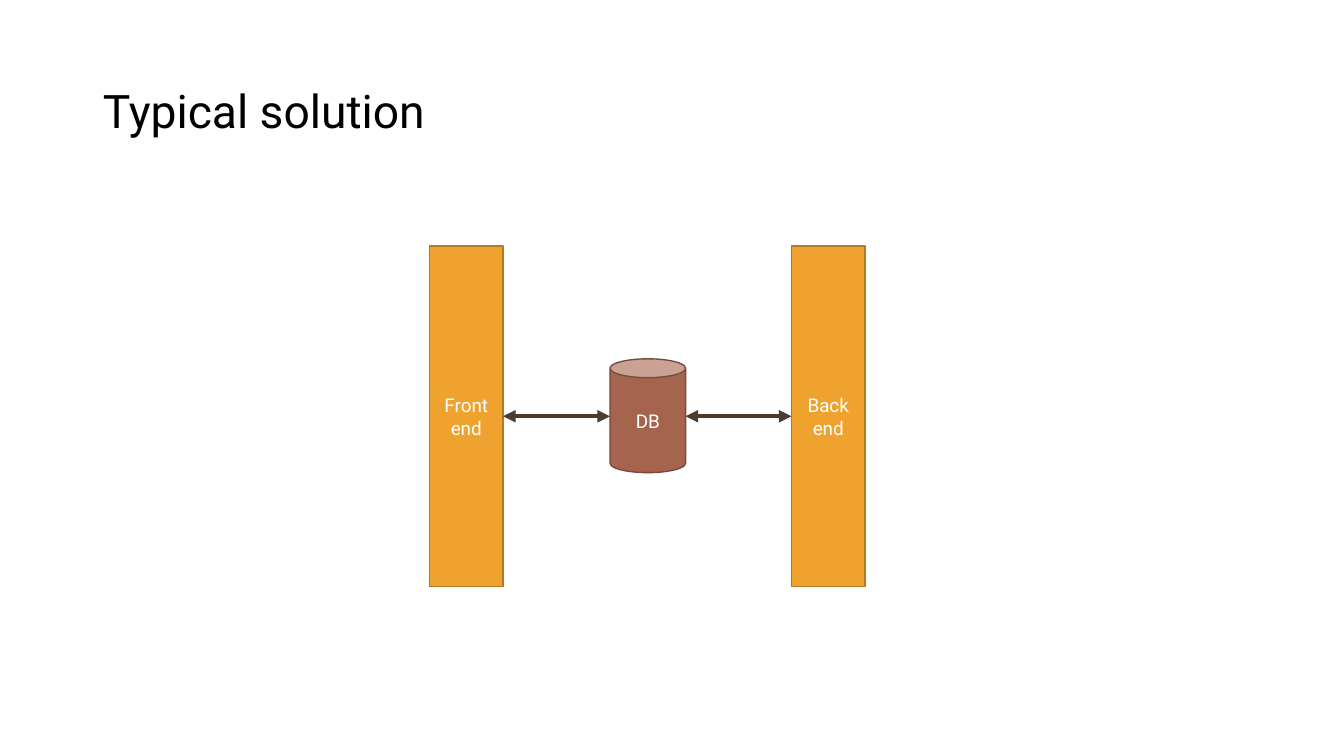
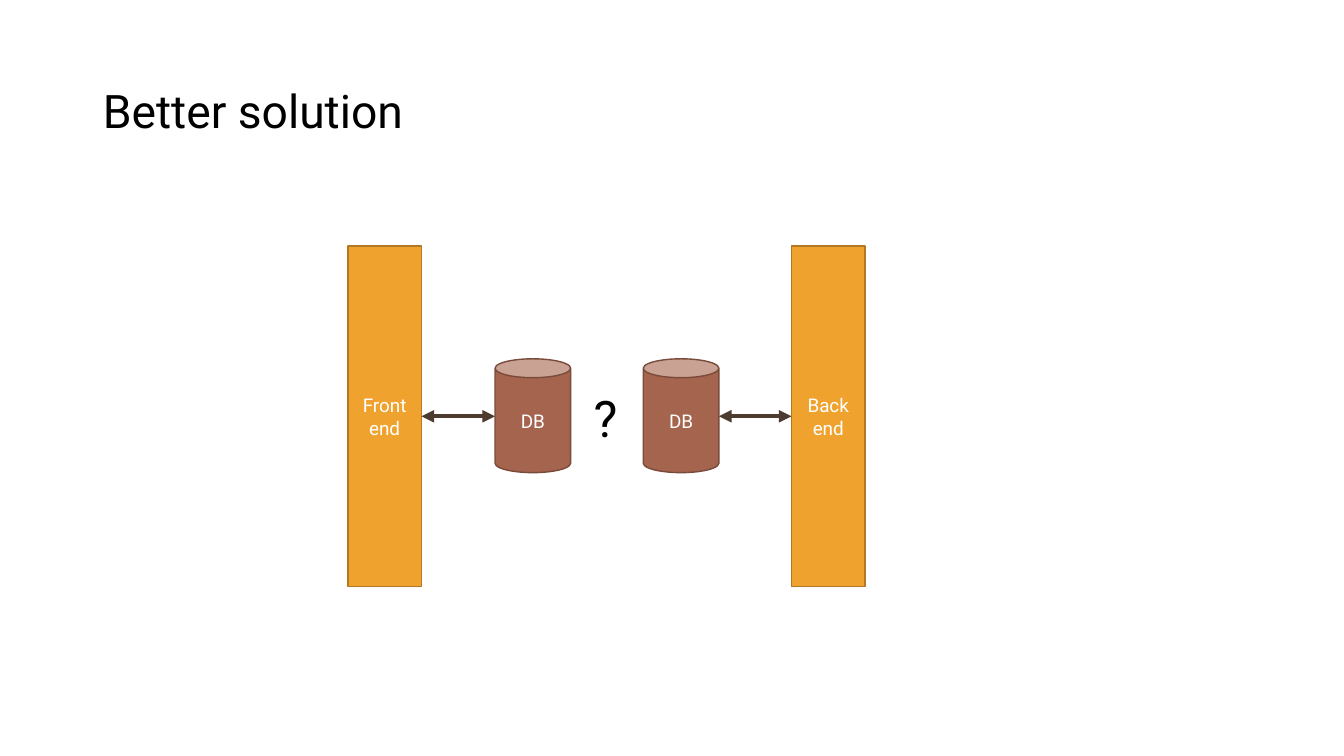
from dataclasses import dataclass

from lxml.etree import SubElement
from pptx import Presentation
from pptx.dml.color import RGBColor as Rgb
from pptx.enum.shapes import MSO_CONNECTOR as Connector, MSO_SHAPE as Shape
from pptx.enum.text import MSO_ANCHOR as Anchor, PP_ALIGN as Align
from pptx.oxml.ns import qn
from pptx.util import Pt

EMU_PER_PX = 9144  # 100 px to the inch
SLIDE_W, SLIDE_H = 1333, 750
TITLE_ONLY = 5
LEFT_SIDE, RIGHT_SIDE = 1, 3

TIER_W, TIER_H, TIER_TOP = 73, 338, 244
DB_W, DB_H = 75, 113
MIDDLE_Y = TIER_TOP + TIER_H // 2
DB_TOP = MIDDLE_Y - DB_H // 2 - 1
BACK_END_X = 785


@dataclass(frozen=True)
class Theme:
    font: str = "Roboto"
    ink: Rgb = Rgb(0x00, 0x00, 0x00)
    label: Rgb = Rgb(0xFF, 0xFF, 0xFF)
    tier_fill: Rgb = Rgb(0xF0, 0xA2, 0x2E)
    tier_line: Rgb = Rgb(0xB2, 0x78, 0x22)
    db_fill: Rgb = Rgb(0xA5, 0x64, 0x4E)
    db_line: Rgb = Rgb(0x7A, 0x4A, 0x3A)
    arrow: Rgb = Rgb(0x4E, 0x3B, 0x30)
    title_size: float = 33
    label_size: float = 13.5
    question_size: float = 36
    outline: float = 1
    arrow_width: float = 3


def px(*lengths):
    return [length * EMU_PER_PX for length in lengths]


class Deck:
    def __init__(self, theme):
        self.theme = theme
        self.presentation = Presentation()
        self.presentation.slide_width, self.presentation.slide_height = px(SLIDE_W, SLIDE_H)
        self.slide = None

    def set_text(self, frame, text, size, color, align=Align.CENTER):
        frame.text = text
        frame.word_wrap = True
        for paragraph in frame.paragraphs:
            paragraph.alignment = align
            font = paragraph.font
            font.name, font.size = self.theme.font, Pt(size)
            font.color.rgb = color

    def new_slide(self, title):
        layout = self.presentation.slide_layouts[TITLE_ONLY]
        self.slide = self.presentation.slides.add_slide(layout)
        heading = self.slide.shapes.title
        heading.left, heading.top, heading.width, heading.height = px(92, 40, 1150, 145)
        frame = heading.text_frame
        self.set_text(frame, title, self.theme.title_size, self.theme.ink, Align.LEFT)
        frame.vertical_anchor = Anchor.MIDDLE
        frame.paragraphs[0].line_spacing = 0.9

    def block(self, kind, text, box, fill, line):
        block = self.slide.shapes.add_shape(kind, *px(*box))
        block.shadow.inherit = False
        block.fill.solid()
        block.fill.fore_color.rgb = fill
        block.line.color.rgb = line
        block.line.width = Pt(self.theme.outline)
        block.text_frame.vertical_anchor = Anchor.MIDDLE
        self.set_text(block.text_frame, text, self.theme.label_size, self.theme.label)
        return block

    def tier(self, text, x):
        return self.block(Shape.RECTANGLE, text, (x, TIER_TOP, TIER_W, TIER_H),
                          self.theme.tier_fill, self.theme.tier_line)

    def database(self, x):
        return self.block(Shape.CAN, "DB", (x, DB_TOP, DB_W, DB_H),
                          self.theme.db_fill, self.theme.db_line)

    def arrow(self, tier, side, db_edge):
        """Double-headed arrow from one side of a tier to the edge of a database."""
        arrow = self.slide.shapes.add_connector(
            Connector.STRAIGHT, *px(db_edge, MIDDLE_Y, db_edge, MIDDLE_Y))
        arrow.begin_connect(tier, side)
        arrow.line.color.rgb = self.theme.arrow
        arrow.line.width = Pt(self.theme.arrow_width)
        properties = arrow.element.spPr
        for end in ("a:headEnd", "a:tailEnd"):
            SubElement(properties.find(qn("a:ln")), qn(end), type="triangle")
        SubElement(properties, qn("a:effectLst"))

    def question(self, box):
        mark = self.slide.shapes.add_textbox(*px(*box))
        self.set_text(mark.text_frame, "?", self.theme.question_size, self.theme.ink)

    def solution(self, title, front_x, front_db_x, back_db_x):
        """Front and back end, each joined to its database, which may be the same."""
        self.new_slide(title)
        front = self.tier("Front end", front_x)
        back = self.tier("Back\nend", BACK_END_X)
        for x in sorted({front_db_x, back_db_x}):
            self.database(x)
        self.arrow(front, RIGHT_SIDE, front_db_x)
        self.arrow(back, LEFT_SIDE, back_db_x + DB_W)


def main():
    deck = Deck(Theme())
    deck.solution("Typical solution", front_x=426, front_db_x=605, back_db_x=605)
    deck.solution("Better solution", front_x=345, front_db_x=491, back_db_x=638)
    deck.question((578, 379, 45, 71))
    deck.presentation.save("out.pptx")


if __name__ == "__main__":
    main()
